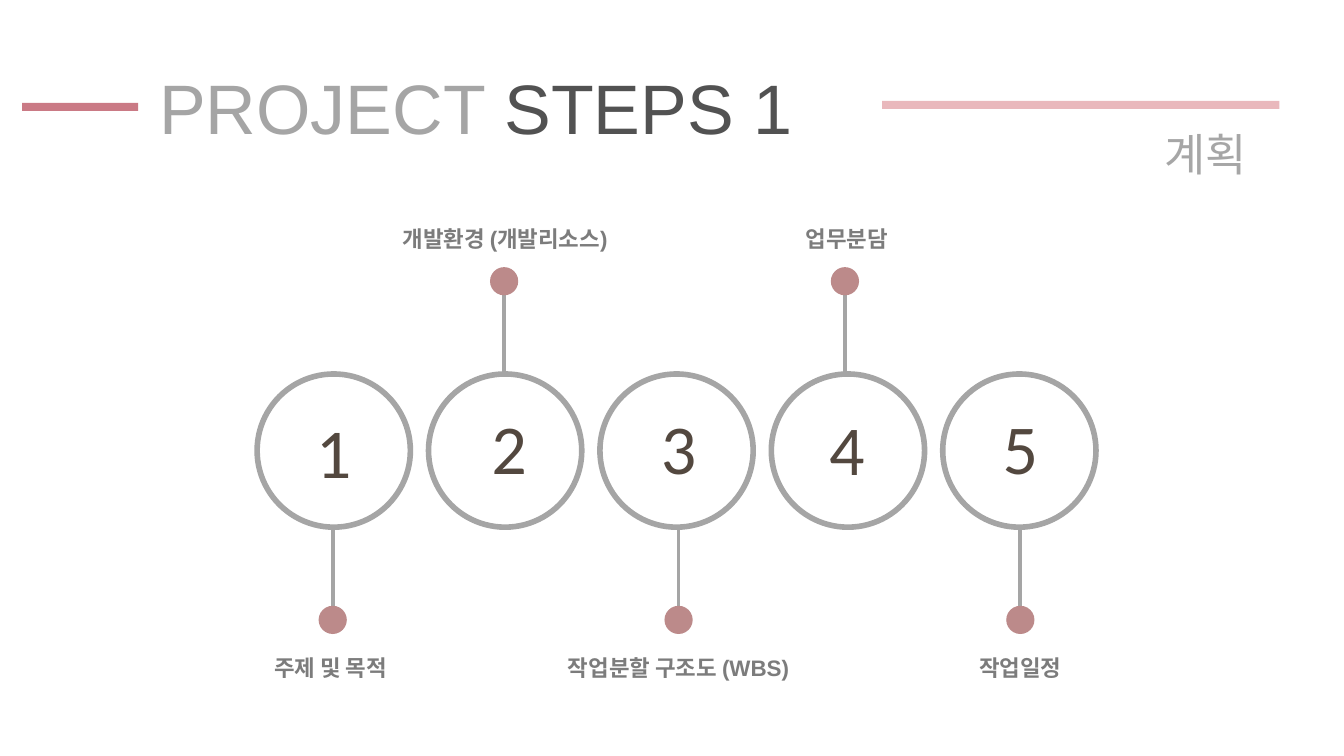
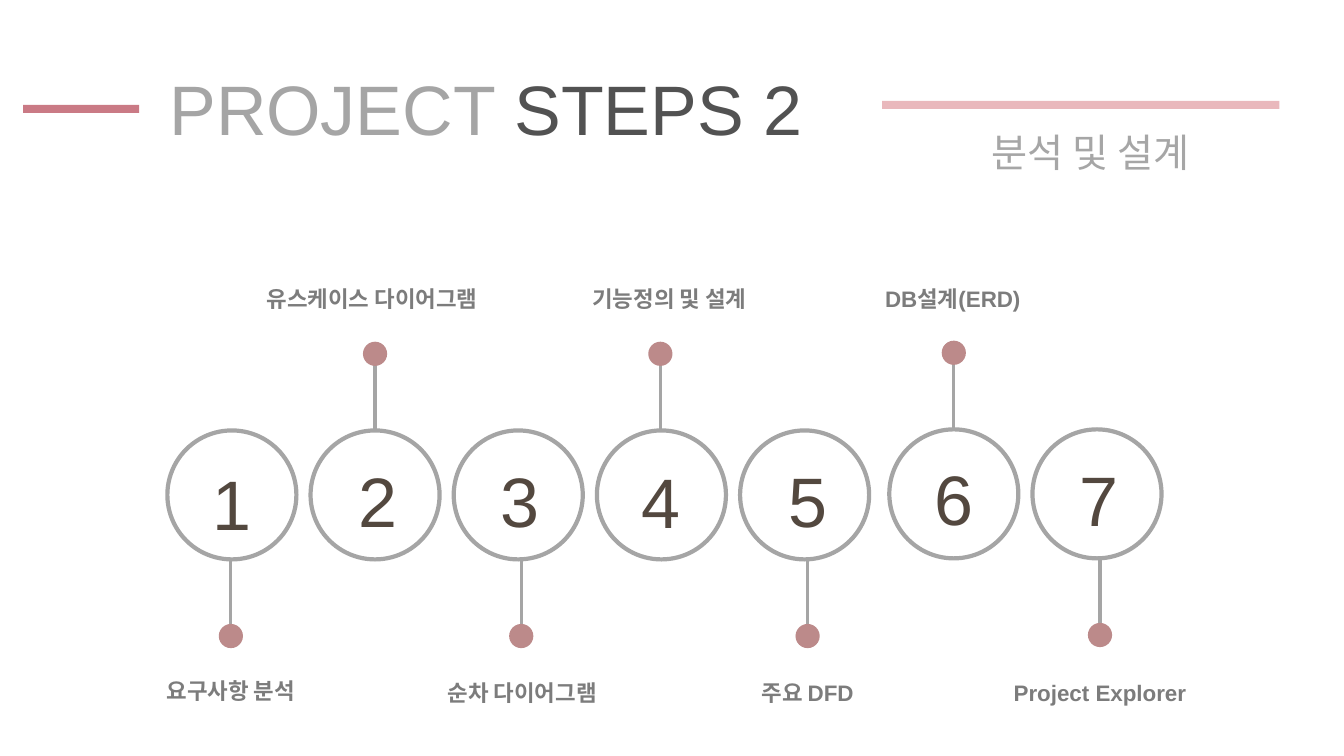
from dataclasses import dataclass

from lxml import etree
from pptx import Presentation
from pptx import util as u
from pptx.dml.color import RGBColor
from pptx.enum import shapes, text
from pptx.oxml.ns import qn

PX = 9144  # EMU per px: 100 px to the inch
COLORS = {
    "white": "FFFFFF",
    "gray": "A5A5A5",
    "dark": "525252",
    "subtitle": "A6A6A6",
    "label": "7C7C7C",
    "number": "53483F",
    "dot": "BC8A8A",
    "rose": "CA7A85",
    "blush": "E9B8BC",
}


def px(*lengths):
    return [u.Emu(length * PX) for length in lengths]


def rgb(name):
    return RGBColor.from_string(COLORS[name])


def write(shape, spans, size, font="Arial", bold=False, wrap=True,
          align=text.PP_ALIGN.LEFT, spacing=None):
    """Fill a shape with one paragraph of (words, color) spans."""
    frame = shape.text_frame
    frame.word_wrap = wrap
    frame.auto_size = text.MSO_AUTO_SIZE.NONE
    frame.vertical_anchor = text.MSO_ANCHOR.TOP
    para = frame.paragraphs[0]
    para.alignment = align
    if spacing:
        para.line_spacing = u.Pt(spacing)
    for words, color in spans:
        span = para.add_run()
        span.text = words
        span.font.name = font
        span.font.size = u.Pt(size)
        span.font.bold = bold
        span.font.color.rgb = rgb(color)


@dataclass
class Step:
    label: str
    label_x: int
    stem_x: int
    number_x: int
    number_y: int
    ring_x: int
    ring_y: int
    label_top: int


@dataclass
class Style:
    ring: int
    ring_line: float
    dot: int
    reach: int  # ring centre to dot centre
    stem_line: float
    number_font: str


class Timeline:
    def __init__(self):
        self.deck = Presentation()
        self.deck.slide_width, self.deck.slide_height = px(1333, 750)
        self.page = None
        self.style = None

    def add_page(self, style):
        self.style = style
        self.page = self.deck.slides.add_slide(self.deck.slide_layouts[5])

    def shape(self, kind, left, top, width, height, fill):
        shape = self.page.shapes.add_shape(kind, *px(left, top, width, height))
        shape.shadow.inherit = False
        shape.fill.solid()
        shape.fill.fore_color.rgb = rgb(fill)
        shape.line.fill.background()
        return shape

    def circle(self, x, y, size, fill):
        return self.shape(shapes.MSO_SHAPE.OVAL, x - size // 2, y - size // 2,
                          size, size, fill)

    def box(self, left, top, width, height, spans, size, **style):
        box = self.page.shapes.add_textbox(*px(left, top, width, height))
        write(box, spans, size, **style)

    def stem(self, x, start, end):
        line = self.page.shapes.add_connector(
            shapes.MSO_CONNECTOR.STRAIGHT, *px(x, start, x, end))
        line.line.color.rgb = rgb("gray")
        line.line.width = u.Pt(self.style.stem_line)
        etree.SubElement(line._element.spPr, qn("a:effectLst"))

    def heading(self, name, left, top):
        title = self.page.shapes.title
        title.left, title.top, title.width, title.height = px(left, top, 700, 94)
        write(title, [("PROJECT ", "gray"), (name, "dark")], 50)

    def bars(self, left, top):
        bar = shapes.MSO_SHAPE.RECTANGLE
        self.shape(bar, left, top, 115, 8, "rose")
        self.shape(bar, 875, 100, 394, 8, "blush")

    def step(self, number, step):
        style = self.style
        side = 1 if number % 2 else -1  # odd steps hang below
        dot_y = step.ring_y + side * style.reach
        self.stem(step.stem_x, dot_y, step.ring_y + side * style.ring // 2)
        ring = self.circle(step.ring_x, step.ring_y, style.ring, "white")
        ring.line.color.rgb = rgb("gray")
        ring.line.width = u.Pt(style.ring_line)
        self.circle(step.stem_x, dot_y, style.dot, "dot")
        center = text.PP_ALIGN.CENTER
        self.box(step.number_x - 30, step.number_y - 47, 60, 94,
                 [(str(number), "number")], 50, font=style.number_font,
                 wrap=False, align=center)
        self.box(step.label_x - 150, step.label_top, 300, 41,
                 [(step.label, "label")], 16, bold=True, align=center,
                 spacing=22.2)

    def steps(self, steps):
        for number, step in enumerate(steps, 1):
            self.step(number, step)


def main():
    timeline = Timeline()

    # Planning: five steps
    timeline.add_page(Style(ring=152, ring_line=4, dot=28, reach=168,
                            stem_line=2.75, number_font="Calibri"))
    timeline.heading("STEPS 1", 148, 59)
    timeline.box(1145, 121, 124, 64, [("계획", "subtitle")], 32)
    timeline.bars(22, 102)
    planning = [
        ("주제 및 목적", 328, 330, 331, 447),
        ("개발환경 (개발리소스)", 501, 500, 505, 443),
        ("작업분할 구조도 (WBS)", 673, 673, 673, 443),
        ("업무분담", 840, 838, 840, 444),
        ("작업일정", 1012, 1012, 1012, 443),
    ]
    timeline.steps(
        Step(*row, ring_x=331 + 170 * i, ring_y=447,
             label_top=214 if i % 2 else 640)
        for i, row in enumerate(planning))

    # Analysis and design: seven steps, the last two set slightly apart
    timeline.add_page(Style(ring=128, ring_line=3, dot=24, reach=140,
                            stem_line=2.25, number_font="Arial"))
    timeline.heading("STEPS 2", 158, 60)
    timeline.box(974, 122, 291, 57, [("분석 및 설계", "subtitle")], 28)
    timeline.bars(23, 104)
    design = [
        ("요구사항 분석", 229, 229, 230, 499),
        ("유스케이스 다이어그램", 369, 372, 375, 496),
        ("순차 다이어그램", 518, 517, 516, 496),
        ("기능정의 및 설계", 664, 655, 656, 497),
        ("주요 DFD", 801, 801, 801, 496),
        ("DB설계(ERD)", 945, 946, 946, 494),
        ("Project Explorer", 1091, 1091, 1090, 495),
    ]
    timeline.steps(
        Step(*row, ring_x=230 + 142 * i + (6 if i > 4 else 0),
             ring_y=490 if i > 4 else 491,
             label_top=274 if i % 2 else 665 if i else 663)
        for i, row in enumerate(design))

    timeline.deck.save("out.pptx")


if __name__ == "__main__":
    main()
